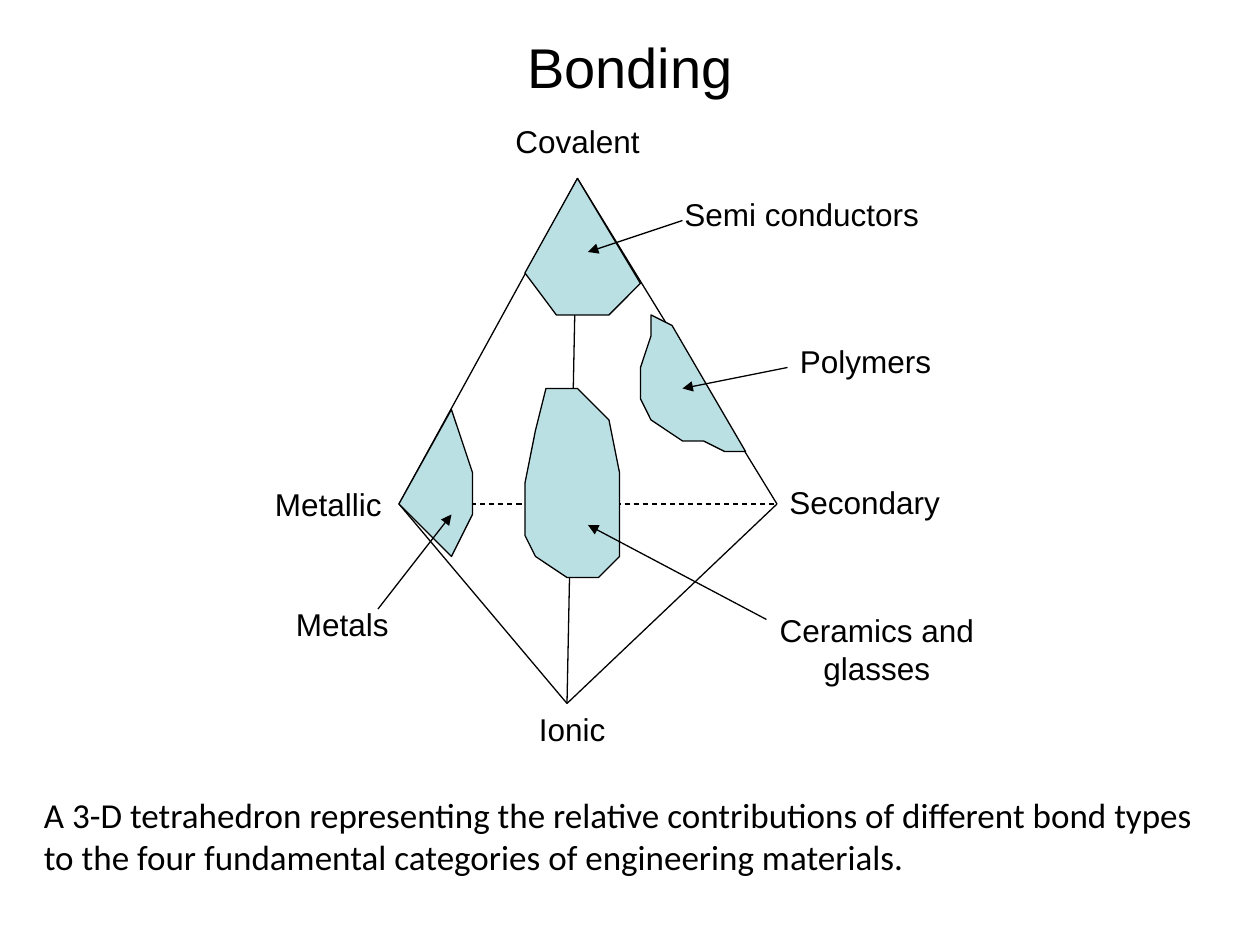
"""Build a slide showing the bonding tetrahedron and its material categories."""
from itertools import combinations

from lxml import etree
from pptx import Presentation
from pptx import util as u
from pptx.dml.color import RGBColor
from pptx.enum import dml, text
from pptx.oxml import ns

GRID = u.Cm(2.54) // 12
BLACK, PALE_TEAL = "000000", "BBE0E3"
LEFT, CENTER = text.PP_ALIGN.LEFT, text.PP_ALIGN.CENTER


def color(hex_value):
    return RGBColor.from_string(hex_value)


def write(box, words, size, font_name, alignment, anchor):
    frame = box.text_frame
    frame.text = words
    frame.word_wrap = True
    frame.auto_size = text.MSO_AUTO_SIZE.NONE
    frame.vertical_anchor = anchor
    paragraph = frame.paragraphs[0]
    paragraph.alignment = alignment
    font = paragraph.runs[0].font
    for key, value in {"size": u.Pt(size), "name": font_name, "bold": False}.items():
        setattr(font, key, value)
    font.color.rgb = color(BLACK)


prs = Presentation()
prs.slide_width, prs.slide_height = u.Cm(25.4), u.Cm(19.05)
slide = prs.slides.add_slide(prs.slide_layouts[5])
shapes = slide.shapes

title = shapes.title
title_place = {"left": 6, "top": 3.6, "width": 108, "height": 5.4}
for side, cells in title_place.items():
    setattr(title, side, int(cells * GRID))
write(title, "Bonding", 32, "Arial", CENTER, text.MSO_ANCHOR.MIDDLE)

corners = {
    "Covalent": (55, 17),
    "Metallic": (38, 48),
    "Secondary": (74, 48),
    "Ionic": (54, 67),
}
hidden_edge = ("Metallic", "Secondary")
edges = [
    (corners[start], corners[end], (start, end) == hidden_edge, False)
    for start, end in combinations(corners, 2)
]
pointers = [
    ((65, 21), (56, 24), False, True),
    ((75, 35), (65, 37), False, True),
    ((73, 59), (56, 50), False, True),
    ((36, 58), (43, 49), False, True),
]

regions = {
    "Semi conductors": [(50, 26), (53, 30), (58, 30), (61, 27), (55, 17)],
    "Polymers": [(62, 30), (62, 32), (61, 35), (61, 38), (62, 40), (65, 42),
                 (67, 42), (69, 43), (71, 43), (64, 31)],
    "Metals": [(43, 39), (45, 45), (45, 49), (43, 53), (38, 48)],
    "Ceramics and glasses": [(55, 37), (58, 40), (59, 45), (59, 53), (57, 55),
                             (54, 55), (51, 53), (50, 51), (50, 46), (51, 41),
                             (52, 37)],
}

for strokes in (edges, pointers):
    for start, end, dashed, arrowed in strokes:
        ends = [cell * GRID for cell in start + end]
        stroke = shapes.add_connector(1, *ends)
        stroke.line.color.rgb = color(BLACK)
        stroke.line.width = u.Pt(0.75)
        if dashed:
            stroke.line.dash_style = dml.MSO_LINE.DASH
        properties = stroke._element.spPr
        if arrowed:
            outline = properties.find(ns.qn("a:ln"))
            etree.SubElement(outline, ns.qn("a:tailEnd"), type="triangle")
        etree.SubElement(properties, ns.qn("a:effectLst"))
    if strokes is edges:
        for first, *others in regions.values():
            builder = shapes.build_freeform(*first, scale=GRID)
            builder.add_line_segments(others, close=True)
            region = builder.convert_to_shape()
            region.shadow.inherit = False
            region.fill.solid()
            region.fill.fore_color.rgb = color(PALE_TEAL)
            region.line.color.rgb = color(BLACK)
            region.line.width = u.Pt(0.75)

caption = ("A 3-D tetrahedron representing the relative contributions of different "
           "bond types to the four fundamental categories of engineering materials.")
labels = [
    ("Metallic", 25, 45.6, 14, 4.8, LEFT, 18, "Arial"),
    ("Ionic", 49, 67, 11, 4.8, CENTER, 18, "Arial"),
    ("Covalent", 47, 11, 16, 4.8, CENTER, 18, "Arial"),
    ("Secondary", 74, 45.4, 17, 4.8, LEFT, 18, "Arial"),
    ("Semi conductors", 64, 18, 25, 4.8, LEFT, 18, "Arial"),
    ("Polymers", 75, 32, 17, 4.8, LEFT, 18, "Arial"),
    ("Ceramics and glasses", 73, 57.6, 21, 8.4, CENTER, 18, "Arial"),
    ("Metals", 27, 57, 12, 4.8, LEFT, 18, "Arial"),
    (caption, 3, 75, 113, 9.2, LEFT, 20, "Calibri"),
]
for words, *place, alignment, size, font_name in labels:
    label = shapes.add_textbox(*[int(cells * GRID) for cells in place])
    write(label, words, size, font_name, alignment, text.MSO_ANCHOR.TOP)

prs.save("out.pptx")
